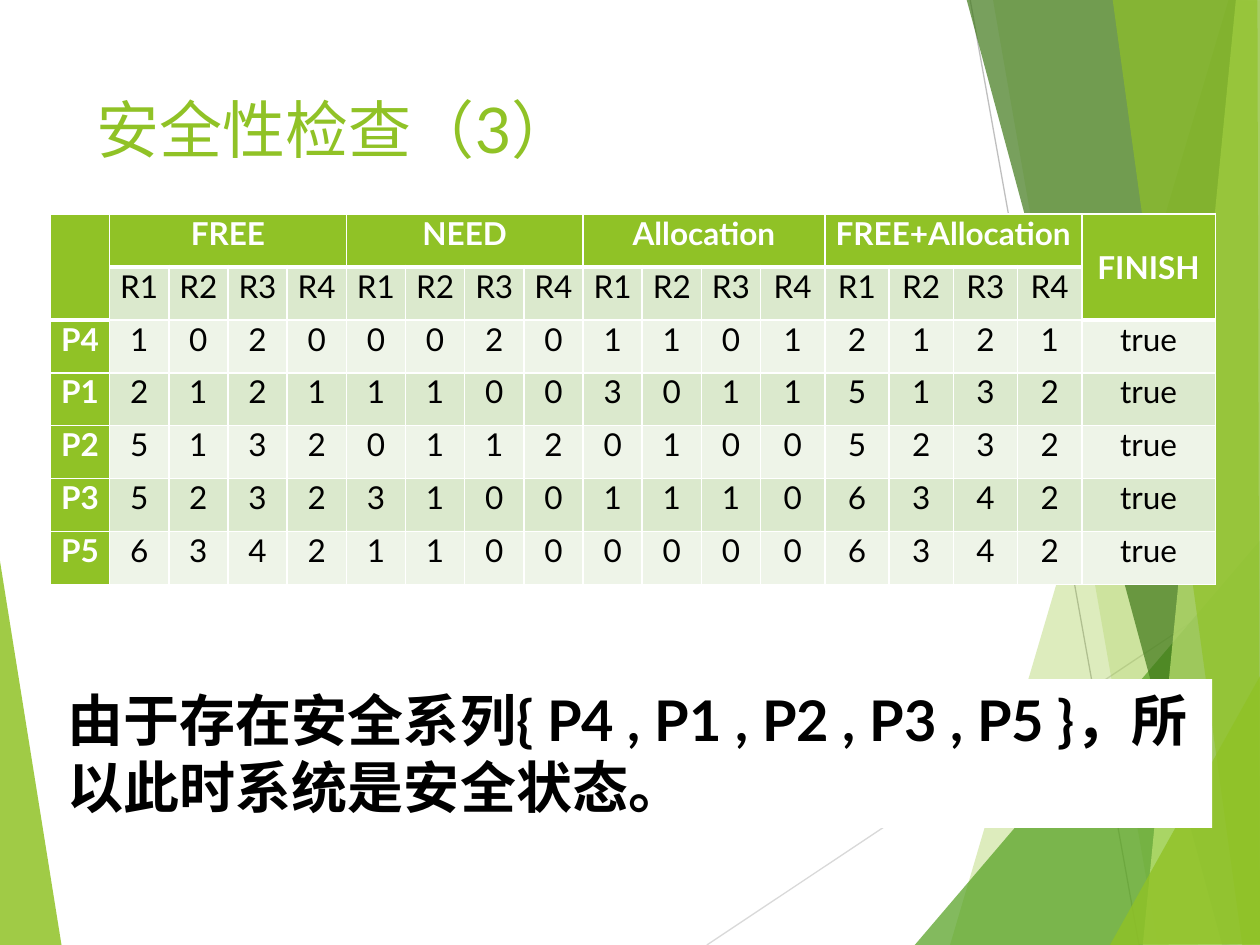
from lxml import etree
from pptx import Presentation, util as u
from pptx.dml.color import RGBColor
from pptx.enum import shapes, text
from pptx.oxml.ns import qn

GREEN, WHITE, BLACK = "90C226", "FFFFFF", "000000"
PALE, PALER = "DBE9CD", "EEF4E8"


def color(hex_code):
    return RGBColor.from_string(hex_code)


def write(frame, words, size, hex_code, bold=False, align=text.PP_ALIGN.LEFT):
    paragraph = frame.paragraphs[0]
    paragraph.alignment = align
    run = paragraph.add_run()
    run.text = words
    run.font.name = "Lato"
    run.font.size = u.Pt(size)
    run.font.bold = bold
    run.font.color.rgb = color(hex_code)


deck = Presentation()
deck.slide_width, deck.slide_height = u.Inches(10), u.Inches(7.5)
slide = deck.slides.add_slide(deck.slide_layouts[6])

# Background facets and rays, back to front: (colour, opacity %, corners)
left_facet = (GREEN, 85, [(-0.01, 4.39), (0.49, 7.51), (-0.01, 7.5)])
rays = [
    ("D9D9D9", (5.61, 7.5), (10.01, 4.57)),
    ("BFBFBF", (7.7, 0), (9.04, 7.5)),
]
right_facets = [
    (GREEN, 30, [(9.75, 0), (7.54, 7.5), (10.02, 7.51), (10.01, 0.01)]),
    (GREEN, 20, [(7.88, -0.01), (9.19, 7.5), (10.01, 7.5), (10.01, -0.01)]),
    ("54A021", 72, [(7.26, 7.5), (10, 4.29), (10.01, 7.5)]),
    ("3F7819", 70, [(7.67, -0.01), (9.7, 7.5), (10.01, 7.49), (10.01, -0.01)]),
    ("C0E474", 70, [(9.81, -0.01), (9.07, 7.5), (10.01, 7.5), (10, -0.01)]),
    (GREEN, 65, [(8.83, -0.01), (9.86, 7.5), (10, 7.5), (9.98, -0.01)]),
    (GREEN, 80, [(8.81, 7.5), (10.01, 5.35), (10.01, 7.49)]),
]

for hex_code, start, end in rays:
    ray = slide.shapes.add_connector(
        shapes.MSO_CONNECTOR.STRAIGHT, *(u.Inches(v) for v in start + end))
    ray.line.color.rgb = color(hex_code)
    ray.line.width = u.Pt(0.75)
    etree.SubElement(ray._element.spPr, qn("a:effectLst"))

for hex_code, opacity, corners in [left_facet] + right_facets:
    points = [(u.Inches(x), u.Inches(y)) for x, y in corners]
    builder = slide.shapes.build_freeform(*points[0])
    builder.add_line_segments(points[1:], close=True)
    facet = builder.convert_to_shape()
    facet.shadow.inherit = False
    facet.line.fill.background()
    facet.fill.solid()
    facet.fill.fore_color.rgb = color(hex_code)
    tint = facet._element.spPr.find(".//" + qn("a:srgbClr"))
    etree.SubElement(tint, qn("a:alpha"), val=str(opacity * 1000))

# Title
title = slide.shapes.add_textbox(
    u.Inches(0.67), u.Inches(0.67), u.Inches(6.94), u.Inches(1.44))
title.text_frame.word_wrap = True
write(title.text_frame, "安全性检查（3）", 36, GREEN)

# Safety check table: each process has four groups of R1 to R4
groups = ["FREE", "NEED", "Allocation", "FREE+Allocation"]
processes = [
    ("P4", "1020 0020 1101 2121"),
    ("P1", "2121 1100 3011 5132"),
    ("P2", "5132 0112 0100 5232"),
    ("P3", "5232 3100 1110 6342"),
    ("P5", "6342 1100 0000 6342"),
]
heads = [""]
for group in groups:
    heads += [group, "", "", ""]
rows = [heads + ["FINISH"], [""] + ["R1", "R2", "R3", "R4"] * 4 + [""]]
for process, amounts in processes:
    rows.append([process, *amounts.replace(" ", ""), "true"])

widths = [0.47] * 12 + [0.51] * 5 + [1.06]
last = len(widths) - 1
check = slide.shapes.add_table(
    len(rows), len(widths), u.Inches(0.4), u.Inches(1.7),
    u.Inches(sum(widths)), u.Inches(0.42 * len(rows))).table
check.first_row = check.horz_banding = False
for column, width in zip(check.columns, widths):
    column.width = u.Inches(width)
for row in check.rows:
    row.height = u.Inches(0.42)

for r, row in enumerate(rows):
    for c, words in enumerate(row):
        cell = check.cell(r, c)
        cell.margin_left = cell.margin_right = u.Inches(0.07)
        cell.margin_top = cell.margin_bottom = 0
        is_head = r == 0 or c == 0 or (r == 1 and c == last)

        # White borders, thick below the header cells
        head_end = 1 if c in (0, last) else 0
        points = {"L": 1, "R": 1,
                  "T": 3 if r == head_end + 1 else 1,
                  "B": 3 if r == head_end else 1}
        for side, width in points.items():
            border = etree.SubElement(
                cell._tc.get_or_add_tcPr(), qn("a:ln" + side), w=str(u.Pt(width)))
            paint = etree.SubElement(border, qn("a:solidFill"))
            etree.SubElement(paint, qn("a:srgbClr"), val=WHITE)

        cell.fill.solid()
        cell.fill.fore_color.rgb = color(
            GREEN if is_head else PALE if r % 2 else PALER)
        if words:
            write(cell.text_frame, words, 18, WHITE if is_head else BLACK,
                  is_head, text.PP_ALIGN.CENTER)

for c in range(1, last, 4):
    check.cell(0, c).merge(check.cell(0, c + 3))
for c in (0, last):
    check.cell(0, c).merge(check.cell(1, c))
check.cell(0, last).vertical_anchor = text.MSO_ANCHOR.MIDDLE

# Conclusion
conclusion = slide.shapes.add_shape(
    shapes.MSO_SHAPE.RECTANGLE,
    u.Inches(0.44), u.Inches(5.39), u.Inches(9.18), u.Inches(1.18))
conclusion.shadow.inherit = False
conclusion.fill.solid()
conclusion.fill.fore_color.rgb = color(WHITE)
conclusion.line.fill.background()
conclusion.text_frame.word_wrap = True
conclusion.text_frame.auto_size = text.MSO_AUTO_SIZE.SHAPE_TO_FIT_TEXT
conclusion.text_frame.vertical_anchor = text.MSO_ANCHOR.TOP
write(conclusion.text_frame,
      "由于存在安全系列{ P4 , P1 , P2 , P3 , P5 }，所以此时系统是安全状态。",
      32, BLACK, True)

deck.save("out.pptx")
